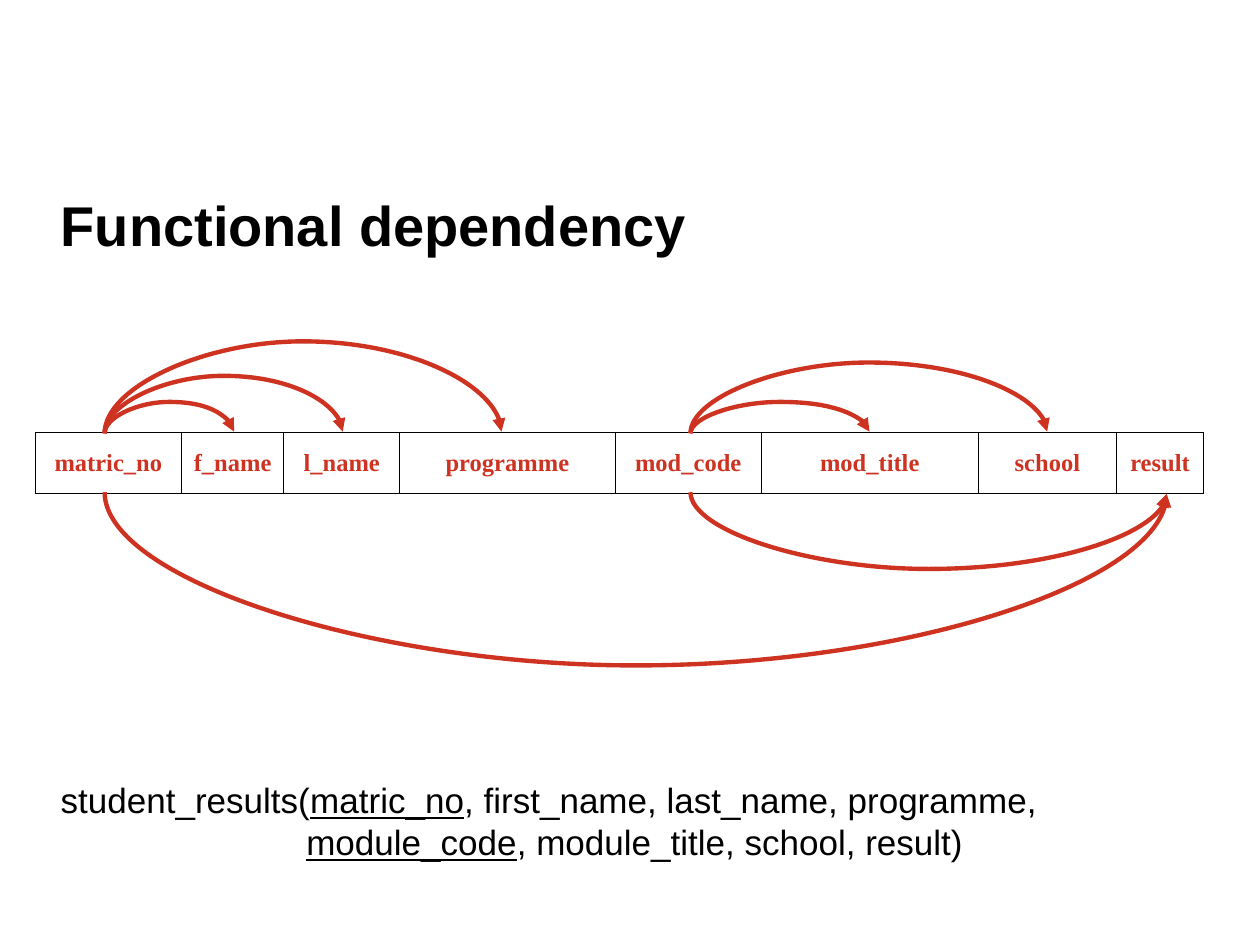
from lxml.etree import SubElement
from pptx import Presentation
from pptx.dml.color import RGBColor
from pptx.enum.shapes import MSO_CONNECTOR
from pptx.enum.text import MSO_ANCHOR, MSO_AUTO_SIZE, PP_ALIGN
from pptx.oxml.ns import qn
from pptx.util import Cm, Emu, Pt

COLOURS = {"text": "000000", "accent": "CE3322", "cell": "FFFFFF", "border": "000000"}
TITLE_FONT = {"name": "Arial", "size": Pt(32), "bold": True}
BODY_FONT = {"name": "Arial", "size": Pt(20), "bold": False}
CELL_FONT = {"name": "Times New Roman", "size": Pt(14), "bold": True}
CELL_FORMAT = {
    "vertical_anchor": MSO_ANCHOR.MIDDLE,
    "margin_left": Cm(0.13),
    "margin_right": Cm(0.13),
    "margin_top": Cm(0.13),
    "margin_bottom": Cm(0.13),
}

TITLE_BOX = (0.97, 3.56, 23.47, 1.93)
RELATION_BOX = (0.71, 8.72, 23.55, 1.22)
SCHEMA_BOX = (0.97, 15.57, 23.47, 2.34)

COLUMN_WIDTHS = {
    "matric_no": 2.95, "f_name": 2.06, "l_name": 2.34, "programme": 4.34,
    "mod_code": 2.95, "mod_title": 4.37, "school": 2.79, "result": 1.75,
}
ANCHORS = {
    "matric_no": 1.4, "f_name": 4.01, "l_name": 6.2, "programme": 9.4,
    "mod_code": 13.21, "mod_title": 16.82, "school": 20.4, "result": 22.81,
}
DEPENDENCIES_ABOVE = [
    ("matric_no", "f_name", 0.64),
    ("matric_no", "l_name", 1.17),
    ("matric_no", "programme", 1.87),
    ("mod_code", "mod_title", 0.64),
    ("mod_code", "school", 1.44),
]
DEPENDENCIES_BELOW = [("mod_code", "result", 1.56), ("matric_no", "result", 3.52)]
SCHEMA_RUNS = [
    ("student_results(", False),
    ("matric_no", True),
    (", first_name, last_name, programme, ", False),
    ("module_code", True),
    (", module_title, school, result)", False),
]


def apply_format(target, values):
    """Set each named attribute on the target."""
    for name, value in values.items():
        setattr(target, name, value)


def format_font(font, values, colour):
    """Apply font values and a named colour."""
    apply_format(font, values)
    font.color.rgb = RGBColor.from_string(COLOURS[colour])


def move_placeholder(shape, box):
    """Place a placeholder in a box given in centimetres."""
    names = ("left", "top", "width", "height")
    apply_format(shape, dict(zip(names, map(Cm, box))))
    shape.text_frame.auto_size = MSO_AUTO_SIZE.NONE


def add_title(slide, box):
    """Fill the title placeholder."""
    shape = slide.shapes.title
    move_placeholder(shape, box)
    shape.text_frame.vertical_anchor = MSO_ANCHOR.MIDDLE
    paragraph = shape.text_frame.paragraphs[0]
    paragraph.alignment = PP_ALIGN.LEFT
    run = paragraph.add_run()
    run.text = "Functional dependency"
    format_font(run.font, TITLE_FONT, "text")


def add_borders(cell):
    """Draw a thin line on all four sides of a cell."""
    properties = cell._tc.get_or_add_tcPr()
    for position, side in enumerate(("lnL", "lnR", "lnT", "lnB")):
        line = properties.makeelement(qn(f"a:{side}"), {"w": str(Pt(0.75))})
        fill = SubElement(line, qn("a:solidFill"))
        SubElement(fill, qn("a:srgbClr"), val=COLOURS["border"])
        properties.insert(position, line)


def add_relation(slide, box):
    """Add the one-row table of attributes."""
    frame = slide.shapes.add_table(1, len(COLUMN_WIDTHS), *map(Cm, box))
    table = frame.table
    table.first_row = table.horz_banding = False
    for index, (attribute, width) in enumerate(COLUMN_WIDTHS.items()):
        table.columns[index].width = Cm(width)
        cell = table.cell(0, index)
        apply_format(cell, CELL_FORMAT)
        cell.fill.solid()
        cell.fill.fore_color.rgb = RGBColor.from_string(COLOURS["cell"])
        paragraph = cell.text_frame.paragraphs[0]
        paragraph.alignment = PP_ALIGN.CENTER
        run = paragraph.add_run()
        run.text = attribute
        format_font(run.font, CELL_FONT, "accent")
        add_borders(cell)


def add_arc(slide, start, end, edge, depth, above):
    """Add a curved arrow between two points on a horizontal edge."""
    thickness, span = Pt(1), Cm(end - start)
    left = Cm((start + end) / 2) - thickness // 2
    top = Cm(edge) - span // 2
    connector = slide.shapes.add_connector(
        MSO_CONNECTOR.CURVE, left, top, Emu(left + thickness), Emu(top + span)
    )
    properties = connector._element.spPr
    transform = properties.find(qn("a:xfrm"))
    transform.set("rot", str((90 if above else 270) * 60000))
    transform.set("flipH", "1")
    if above:
        transform.set("flipV", "1")
    adjustments = properties.find(qn("a:prstGeom")).get_or_add_avLst()
    ratio = round(Cm(depth) / thickness * 100000)
    SubElement(adjustments, qn("a:gd"), name="adj1", fmla=f"val {ratio}")
    connector.line.width = Pt(2.5)
    connector.line.color.rgb = RGBColor.from_string(COLOURS["accent"])
    SubElement(connector.line._get_or_add_ln(), qn("a:tailEnd"), type="triangle")
    SubElement(properties, qn("a:effectLst"))


def add_dependencies(slide, box):
    """Add the arrows above and below the relation."""
    left, top, _, height = box
    sides = ((DEPENDENCIES_ABOVE, top, True), (DEPENDENCIES_BELOW, top + height, False))
    for dependencies, edge, above in sides:
        for source, target, depth in dependencies:
            start, end = left + ANCHORS[source], left + ANCHORS[target]
            add_arc(slide, start, end, edge, depth, above)


def add_schema(slide, box):
    """Fill the body placeholder with the relation schema."""
    shape = slide.placeholders[1]
    move_placeholder(shape, box)
    paragraph = shape.text_frame.paragraphs[0]
    properties = paragraph._p.get_or_add_pPr()
    properties.set("marL", str(Cm(4.95)))
    properties.set("indent", str(-Cm(4.95)))
    SubElement(properties, qn("a:buNone"))
    paragraph.space_before = Pt(0)
    for text, underlined in SCHEMA_RUNS:
        run = paragraph.add_run()
        run.text = text
        format_font(run.font, BODY_FONT, "text")
        run.font.underline = underlined


def main():
    """Build and save the presentation."""
    presentation = Presentation()
    presentation.slide_width, presentation.slide_height = Cm(25.4), Cm(19.05)
    slide = presentation.slides.add_slide(presentation.slide_layouts[1])
    add_title(slide, TITLE_BOX)
    add_relation(slide, RELATION_BOX)
    add_dependencies(slide, RELATION_BOX)
    add_schema(slide, SCHEMA_BOX)
    presentation.save("out.pptx")


if __name__ == "__main__":
    main()
